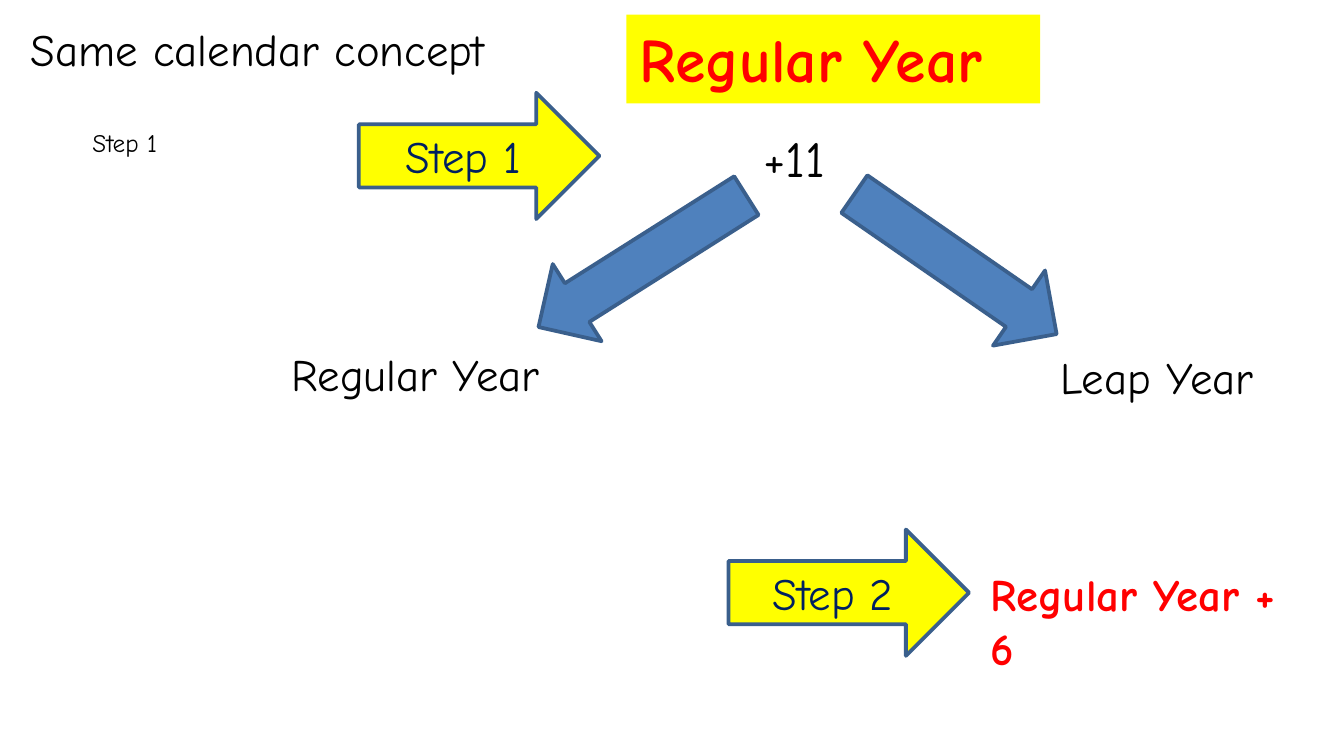
import pptx
import pptx.dml.color
import pptx.enum.shapes
import pptx.enum.text
import pptx.util
from dataclasses import dataclass
from pptx.util import Inches


@dataclass(frozen=True)
class Theme:
    """Colours, font and type sizes of the slide."""
    font: str = "Comic Neue"
    white: str = "FFFFFF"
    black: str = "000000"
    yellow: str = "FFFF00"
    red: str = "FF0000"
    navy: str = "002060"
    blue: str = "4F81BD"
    outline: str = "3A5F8C"
    small: float = 13.5
    body: float = 24
    number: float = 27
    title: float = 33
    line: float = 2


THEME = Theme()
SHAPES = pptx.enum.shapes.MSO_SHAPE


def colour(value):
    """Turn a hex string into a colour."""
    return pptx.dml.color.RGBColor.from_string(value)


def write(box, text, size, ink, bold=False):
    """Write one run of text in a box."""
    box.text_frame.word_wrap = True
    span = box.text_frame.paragraphs[0].add_run()
    span.text = text
    span.font.name = THEME.font
    span.font.size = pptx.util.Pt(size)
    span.font.bold = bold
    span.font.color.rgb = colour(ink)


def add_label(page, place, text, size=THEME.body, ink=THEME.black, fill=THEME.white, bold=False):
    """Add left-aligned text on an optional filled ground."""
    box = page.shapes.add_textbox(*map(Inches, place))
    if fill:
        box.fill.solid()
        box.fill.fore_color.rgb = colour(fill)
    write(box, text, size, ink, bold)


def add_arrow(page, place, kind, fill, turn=0):
    """Add an outlined block arrow and return it."""
    arrow = page.shapes.add_shape(kind, *map(Inches, place))
    arrow.shadow.inherit = False
    arrow.rotation = turn
    arrow.fill.solid()
    arrow.fill.fore_color.rgb = colour(fill)
    arrow.line.color.rgb = colour(THEME.outline)
    arrow.line.width = pptx.util.Pt(THEME.line)
    return arrow


def add_step(page, left, top, text):
    """Add a yellow arrow that names a step."""
    arrow = add_arrow(page, (left, top, 1.79, 0.94), SHAPES.RIGHT_ARROW, THEME.yellow)
    write(arrow, text, THEME.body, THEME.navy)
    arrow.text_frame.vertical_anchor = pptx.enum.text.MSO_ANCHOR.MIDDLE
    arrow.text_frame.paragraphs[0].alignment = pptx.enum.text.PP_ALIGN.CENTER


def add_heading(page, left, top):
    """Add the concept line and its small step note."""
    add_label(page, (left, top, 3.81, 0.5), "Same calendar concept")
    add_label(page, (left + 0.46, top + 0.79, 0.77, 0.33), "Step 1", THEME.small, fill=None)


def add_year_tree(page, left, top):
    """Add the regular year root, its two branches and their ends."""
    add_label(page, (left + 2.59, top, 3.08, 0.66), "Regular Year", THEME.title,
              THEME.red, THEME.yellow, True)
    add_label(page, (left + 3.51, top + 0.79, 0.72, 0.56), "+11", THEME.number)
    for across, down, turn in ((2.37, 0.92, 57.7), (4.7, 0.94, 304.7)):
        add_arrow(page, (left + across, top + down, 0.68, 1.83), SHAPES.DOWN_ARROW,
                  THEME.blue, turn)
    add_label(page, (left, top + 2.42, 2.21, 0.5), "Regular Year")
    add_label(page, (left + 5.72, top + 2.44, 1.76, 0.5), "Leap Year")


def add_result(page, left, top):
    """Add the second step and the sum it leads to."""
    add_step(page, left, top, "Step 2")
    add_label(page, (left + 1.85, top + 0.23, 2.47, 0.91), "Regular Year + 6",
              ink=THEME.red, bold=True)


def main():
    """Build and save the slide."""
    deck = pptx.Presentation()
    deck.slide_width = Inches(10)
    deck.slide_height = Inches(10 * 9 / 16)
    page = deck.slides.add_slide(deck.slide_layouts[6])
    add_heading(page, 0.13, 0.11)
    add_year_tree(page, 2.07, 0.11)
    add_step(page, 2.67, 0.69, "Step 1")
    add_result(page, 5.42, 3.94)
    deck.save("out.pptx")


if __name__ == "__main__":
    main()
